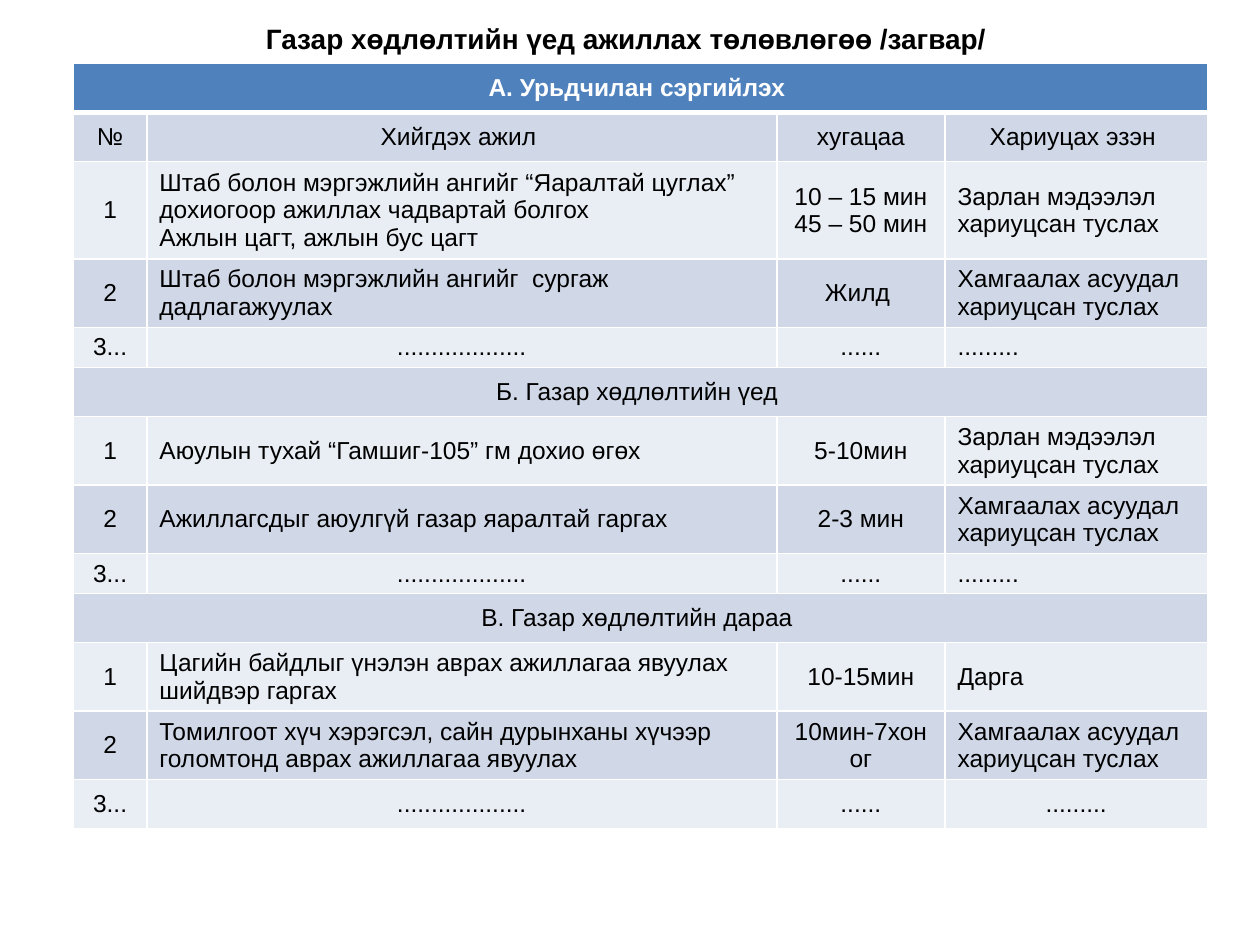
from lxml.etree import SubElement
from pptx import Presentation
from pptx.dml.color import RGBColor
from pptx.enum.text import MSO_ANCHOR, PP_ALIGN
from pptx.oxml.ns import qn
from pptx.util import Cm, Pt


def color(value):
    return RGBColor.from_string(value)


class PlanSlide:
    font = "Arial"
    ink = "000000"
    white = "FFFFFF"
    header_fill = "4F81BD"
    band_fills = ("E9EDF4", "D0D8E8")

    def __init__(self, presentation):
        self.slide = presentation.slides.add_slide(presentation.slide_layouts[5])

    def text(self, frame, text, size, ink, bold, alignment):
        frame.text = text
        for paragraph in frame.paragraphs:
            paragraph.alignment = alignment
            for run in paragraph.runs:
                formats = {"name": self.font, "size": Pt(size), "bold": bold}
                for name, value in formats.items():
                    setattr(run.font, name, value)
                run.font.color.rgb = color(ink)

    def title(self, text, left, top, width, height):
        shape = self.slide.shapes.title
        position = {"left": left, "top": top, "width": width, "height": height}
        for name, value in position.items():
            setattr(shape, name, Cm(value))
        shape.text_frame.vertical_anchor = MSO_ANCHOR.MIDDLE
        self.text(shape.text_frame, text, 16, self.ink, True, PP_ALIGN.CENTER)

    def borders(self, cell, bottom_width):
        properties = cell._tc.get_or_add_tcPr()
        for side, width in (("L", 1), ("R", 1), ("T", 1), ("B", bottom_width)):
            line = SubElement(properties, qn(f"a:ln{side}"), w=str(int(Pt(width))))
            fill = SubElement(line, qn("a:solidFill"))
            SubElement(fill, qn("a:srgbClr"), val=self.white)

    def cell(self, cell, text, row, alignment):
        is_header = row == 0
        self.borders(cell, 3 if is_header else 1)
        cell.fill.solid()
        cell.fill.fore_color.rgb = color(self.header_fill if is_header else self.band_fills[row % 2])
        cell.vertical_anchor = MSO_ANCHOR.MIDDLE
        ink = self.white if is_header else self.ink
        self.text(cell.text_frame, text, 14, ink, is_header, alignment)

    def table(self, rows, left, top, widths, heights):
        shape = self.slide.shapes.add_table(
            len(rows), len(widths), Cm(left), Cm(top), Cm(sum(widths)), Cm(sum(heights)))
        table = shape.table
        for column, width in zip(table.columns, widths):
            column.width = Cm(width)
        for row, height in zip(table.rows, heights):
            row.height = Cm(height)
        last_row = len(rows) - 1
        for row, texts in enumerate(rows):
            if len(texts) == 1:
                table.cell(row, 0).merge(table.cell(row, len(widths) - 1))
            for column in range(len(widths)):
                text = texts[column] if column < len(texts) else ""
                is_task = column == 1 and not text.startswith(".")
                is_owner = column == 3 and row != last_row
                is_left = row > 1 and (is_task or is_owner)
                alignment = PP_ALIGN.LEFT if is_left else PP_ALIGN.CENTER
                self.cell(table.cell(row, column), text, row, alignment)


information_aide = "Зарлан мэдээлэл хариуцсан туслах"
protection_aide = "Хамгаалах асуудал хариуцсан туслах"
open_row = ("3...", "." * 19, "." * 6, "." * 9)
plan_rows = [
    ("А. Урьдчилан сэргийлэх ",),
    ("№", "Хийгдэх ажил ", "хугацаа", "Хариуцах эзэн "),
    ("1", "Штаб болон мэргэжлийн ангийг “Яаралтай цуглах” дохиогоор ажиллах чадвартай болгох\n"
          "Ажлын цагт, ажлын бус цагт", "10 – 15 мин\n45 – 50 мин", information_aide),
    ("2", "Штаб болон мэргэжлийн ангийг  сургаж дадлагажуулах", "Жилд ", protection_aide),
    open_row,
    ("Б. Газар хөдлөлтийн үед ",),
    ("1", "Аюулын тухай “Гамшиг-105” гм дохио өгөх ", "5-10мин", information_aide),
    ("2", "Ажиллагсдыг аюулгүй газар яаралтай гаргах", "2-3 мин", protection_aide),
    open_row,
    ("В. Газар хөдлөлтийн дараа ",),
    ("1", "Цагийн байдлыг үнэлэн аврах ажиллагаа явуулах шийдвэр гаргах", "10-15мин", "Дарга "),
    ("2", "Томилгоот хүч хэрэгсэл, сайн дурынханы хүчээр голомтонд аврах ажиллагаа явуулах",
     "10мин-7хоног", protection_aide),
    open_row,
]
single, double, triple, compact = 0.99, 1.38, 1.96, 0.81
section_heights = [single, double, double, compact]
row_heights = [single, single, triple, double, compact, *section_heights, *section_heights[:3], single]

presentation = Presentation()
presentation.slide_width = Cm(25.4)
presentation.slide_height = Cm(19.05)
plan = PlanSlide(presentation)
plan.title("Газар хөдлөлтийн үед ажиллах төлөвлөгөө /загвар/ ", 1.27, 0.2, 22.86, 1.14)
plan.table(plan_rows, 1.48, 1.28, [1.48, 12.7, 3.39, 5.29], row_heights)
presentation.save("out.pptx")
